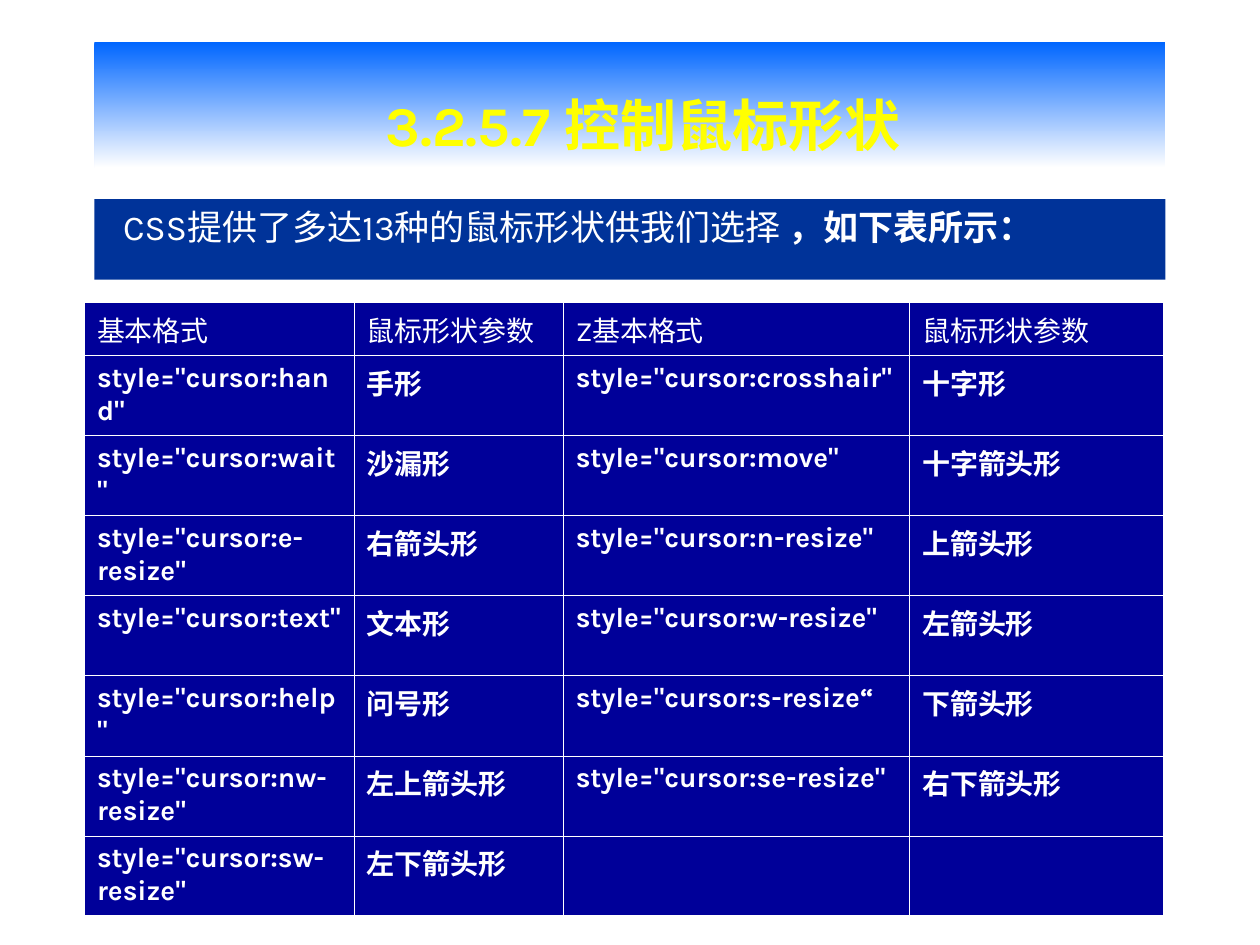
import pptx
import pptx.util
import pptx.dml.color
import pptx.enum.shapes
import pptx.enum.text
import pptx.oxml
import pptx.oxml.ns

HUES = {"sky": "0066FF", "white": "FFFFFF", "gold": "FFFF00",
        "blue": "003399", "navy": "000099"}
FONT = "Karla"
rgb = pptx.dml.color.RGBColor.from_string
Pt = pptx.util.Pt
Align = pptx.enum.text.PP_ALIGN
Anchor = pptx.enum.text.MSO_ANCHOR

deck = pptx.Presentation()
deck.slide_width = pptx.util.Inches(10)
deck.slide_height = pptx.util.Inches(7.5)
# One percent of the slide's width and height
col, row = deck.slide_width / 100, deck.slide_height / 100
slide = deck.slides.add_slide(deck.slide_layouts[6])


def write(para, text, size=16, hue="white", bold=False, before=0, align=Align.LEFT):
    run = para.add_run()
    run.text = text
    run.font.name = FONT
    run.font.size = Pt(size)
    run.font.bold = bold
    run.font.color.rgb = rgb(HUES[hue])
    para.space_before = Pt(before)
    para.alignment = align


def band(top, high, anchor):
    box = slide.shapes.add_shape(
        pptx.enum.shapes.MSO_SHAPE.RECTANGLE,
        int(7.5 * col), int(top * row), int(85 * col), int(high * row))
    box.shadow.inherit = False
    box.line.fill.background()
    box.text_frame.word_wrap = True
    box.text_frame.vertical_anchor = anchor
    return box


# Title band, fading downwards
title = band(4.44, 13.33, Anchor.MIDDLE)
title.fill.gradient()
title.fill.gradient_angle = 270
for stop, hue in zip(title.fill.gradient_stops, ("sky", "white")):
    stop.color.rgb = rgb(HUES[hue])
para = title.text_frame.paragraphs[0]
for text, size in ((" ", 60), ("3.2.5.7 控制鼠标形状", 32)):
    write(para, text, size=size, hue="gold", bold=True, align=Align.CENTER)

# Lead sentence
lead = band(21.07, 8.53, Anchor.TOP)
lead.fill.solid()
lead.fill.fore_color.rgb = rgb(HUES["blue"])
para = lead.text_frame.paragraphs[0]
props = para._p.get_or_add_pPr()
props.set("marL", str(int(3.8 * col)))
props.set("indent", str(int(-2.5 * col)))
write(para, "CSS提供了多达13种的鼠标形状供我们选择", size=20, before=5)
write(para, " ，如下表所示：", size=20, bold=True, before=5)

# Table of cursor shapes
rows = [
    ("基本格式", "鼠标形状参数", "Z基本格式", "鼠标形状参数"),
    ('style="cursor:hand"', "手形", 'style="cursor:crosshair"', "十字形"),
    ('style="cursor:wait"', "沙漏形", 'style="cursor:move"', "十字箭头形"),
    ('style="cursor:e-resize"', "右箭头形", 'style="cursor:n-resize"', "上箭头形"),
    ('style="cursor:text"', "文本形", 'style="cursor:w-resize"', "左箭头形"),
    ('style="cursor:help"', "问号形", 'style="cursor:s-resize“', "下箭头形"),
    ('style="cursor:nw-resize"', "左上箭头形", 'style="cursor:se-resize"', "右下箭头形"),
    ('style="cursor:sw-resize"', "左下箭头形", "", ""),
]
wides = (21.4, 16.6, 27.5, 20.2)
highs = [5.6] + [8.48] * 7
table = slide.shapes.add_table(
    len(rows), len(wides), int(6.7 * col), int(32 * row),
    int(sum(wides) * col), int(sum(highs) * row)).table
table.first_row = table.horz_banding = False
for part, wide in zip(table.columns, wides):
    part.width = int(wide * col)
for part, high in zip(table.rows, highs):
    part.height = int(high * row)

for r, line in enumerate(rows):
    for c, text in enumerate(line):
        cell = table.cell(r, c)
        # Thick outer edges, thin inner rules
        outer = {"L": c == 0, "R": c == len(wides) - 1,
                 "T": r == 0, "B": r == len(rows) - 1}
        for side, edge in outer.items():
            cell._tc.get_or_add_tcPr().append(pptx.oxml.parse_xml(
                f'<a:ln{side} {pptx.oxml.ns.nsdecls("a")} w="{Pt(1.08 if edge else 0.45)}">'
                f'<a:solidFill><a:srgbClr val="{HUES["white"]}"/></a:solidFill></a:ln{side}>'))
        cell.fill.solid()
        cell.fill.fore_color.rgb = rgb(HUES["navy"])
        if text:
            write(cell.text_frame.paragraphs[0], text, bold=r > 0, before=4)

deck.save("out.pptx")
